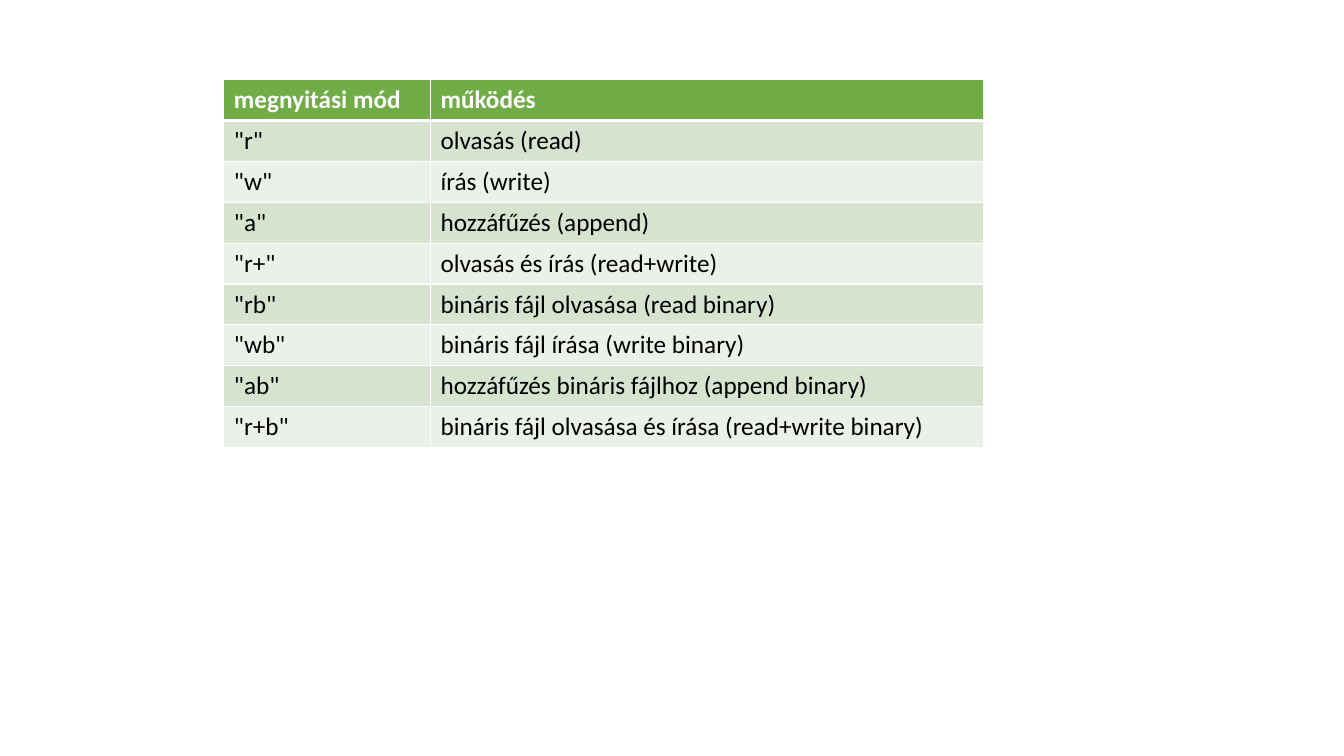
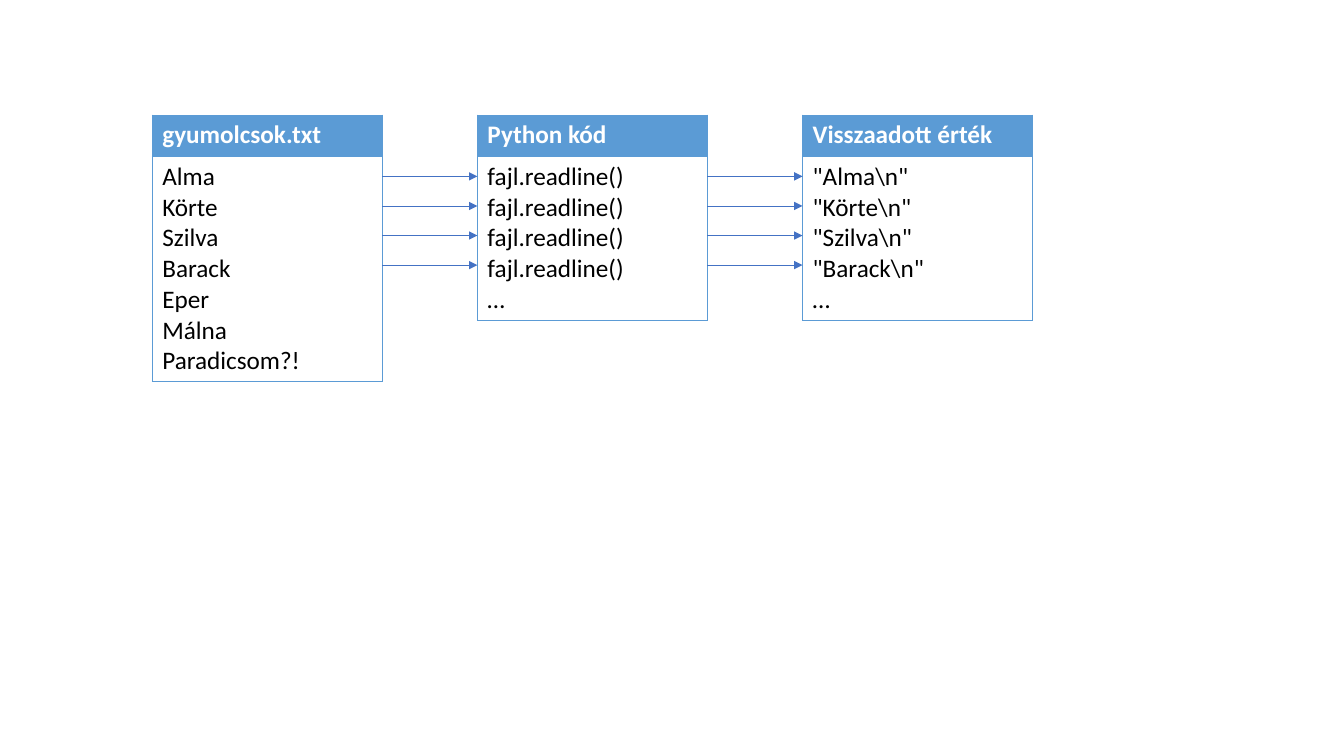
from lxml.etree import SubElement
from pptx import Presentation
from pptx.dml.color import RGBColor
from pptx.enum.shapes import MSO_CONNECTOR as Connector
from pptx.oxml import parse_xml
from pptx.oxml.ns import nsdecls, qn
from pptx.util import Inches, Pt

FONT = "Calibri"
TEXT_SIZE = 18
WHITE, BLACK = "FFFFFF", "000000"
GREEN, GREEN_BANDS = "70AD47", ("D5E3CF", "EBF1E9")
BLUE, ARROW_BLUE = "5B9BD5", "4472C4"
HEADER_HEIGHT = 0.41

MODES = [
    ("megnyitási mód", "működés"),
    ('"r"', "olvasás (read)"),
    ('"w"', "írás (write)"),
    ('"a"', "hozzáfűzés (append)"),
    ('"r+"', "olvasás és írás (read+write)"),
    ('"rb"', "bináris fájl olvasása (read binary)"),
    ('"wb"', "bináris fájl írása (write binary)"),
    ('"ab"', "hozzáfűzés bináris fájlhoz (append binary)"),
    ('"r+b"', "bináris fájl olvasása és írása (read+write binary)"),
]
FRUITS = ["Alma", "Körte", "Szilva", "Barack", "Eper", "Málna", "Paradicsom?!"]
READ_COUNT = 4
STEPS = [
    ("gyumolcsok.txt", FRUITS),
    ("Python kód", ["fajl.readline()"] * READ_COUNT + ["…"]),
    ("Visszaadott érték", [rf'"{fruit}\n"' for fruit in FRUITS[:READ_COUNT]] + ["…"]),
]


def color(hex_code):
    """Turn a hex string into a colour."""
    return RGBColor.from_string(hex_code)


def set_borders(cell, hex_code, **widths):
    """Draw the edges L, R, T and B of a cell with the widths given in points."""
    properties = cell._tc.get_or_add_tcPr()
    for position, edge in enumerate("LRTB"):
        properties.insert(position, parse_xml(
            f'<a:ln{edge} {nsdecls("a")} w="{Pt(widths[edge])}"><a:solidFill>'
            f'<a:srgbClr val="{hex_code}"/></a:solidFill></a:ln{edge}>'))


def fill_cell(cell, text, fill, is_header):
    """Write the text of a cell and colour it."""
    cell.fill.solid()
    cell.fill.fore_color.rgb = color(fill)
    cell.text_frame.text = text
    for paragraph in cell.text_frame.paragraphs:
        for run in paragraph.runs:
            run.font.name = FONT
            run.font.size = Pt(TEXT_SIZE)
            run.font.bold = is_header
            run.font.color.rgb = color(WHITE if is_header else BLACK)


def add_grid(slide, left, top, rows, widths, heights, fills, border):
    """Place a table whose first row is a header; border gives colour, width and header rule."""
    table = slide.shapes.add_table(
        len(rows), len(widths), Inches(left), Inches(top),
        Inches(sum(widths)), Inches(sum(heights))).table
    table.horz_banding = False
    for column, width in zip(table.columns, widths):
        column.width = Inches(width)
    line_color, thin, header_rule = border
    for index, (texts, height, fill) in enumerate(zip(rows, heights, fills)):
        table.rows[index].height = Inches(height)
        for cell, text in zip(table.rows[index].cells, texts):
            fill_cell(cell, text, fill, index == 0)
            set_borders(cell, line_color, L=thin, R=thin,
                        T=header_rule if index == 1 else thin,
                        B=header_rule if index == 0 else thin)


def add_arrow(slide, start, end, y):
    """Draw a horizontal arrow between two x positions."""
    arrow = slide.shapes.add_connector(
        Connector.STRAIGHT, Inches(start), Inches(y), Inches(end), Inches(y))
    arrow.line.color.rgb = color(ARROW_BLUE)
    arrow.line.width = Pt(0.5)
    SubElement(arrow.line._get_or_add_ln(), qn("a:tailEnd")).set("type", "triangle")
    SubElement(arrow._element.spPr, qn("a:effectLst"))


def build_modes(slide, left, top, height):
    """Lay out the banded table of file opening modes."""
    fills = [GREEN] + [GREEN_BANDS[i % 2] for i in range(len(MODES) - 1)]
    heights = [height / len(MODES)] * len(MODES)
    add_grid(slide, left, top, MODES, (2.05, 5.49), heights, fills, (WHITE, 1, 3))


def build_reading(slide, left, top, width):
    """Lay out the three reading steps and the arrows from line to line."""
    step_width, line_height, arrow_pitch = 2.28, 0.3, 0.88 / 3
    step_pitch = (width - step_width) / (len(STEPS) - 1)
    for index, (heading, lines) in enumerate(STEPS):
        heights = (HEADER_HEIGHT, 0.1 + len(lines) * line_height)
        add_grid(slide, left + index * step_pitch, top, [(heading,), ("\n".join(lines),)],
                 (step_width,), heights, (BLUE, WHITE), (BLUE, 0.5, 0.5))
    for index in range(len(STEPS) - 1):
        step_left = left + index * step_pitch
        for line in range(READ_COUNT):
            add_arrow(slide, step_left + step_width, step_left + step_pitch,
                      top + HEADER_HEIGHT + 0.2 + line * arrow_pitch)


def main():
    """Build and save the presentation."""
    deck = Presentation()
    deck.slide_width, deck.slide_height = Inches(13.33), Inches(7.5)
    blank = deck.slide_layouts[6]
    build_modes(deck.slides.add_slide(blank), 2.22, 0.79, 3.65)
    build_reading(deck.slides.add_slide(blank), 1.51, 1.14, 8.73)
    deck.save("out.pptx")


if __name__ == "__main__":
    main()
